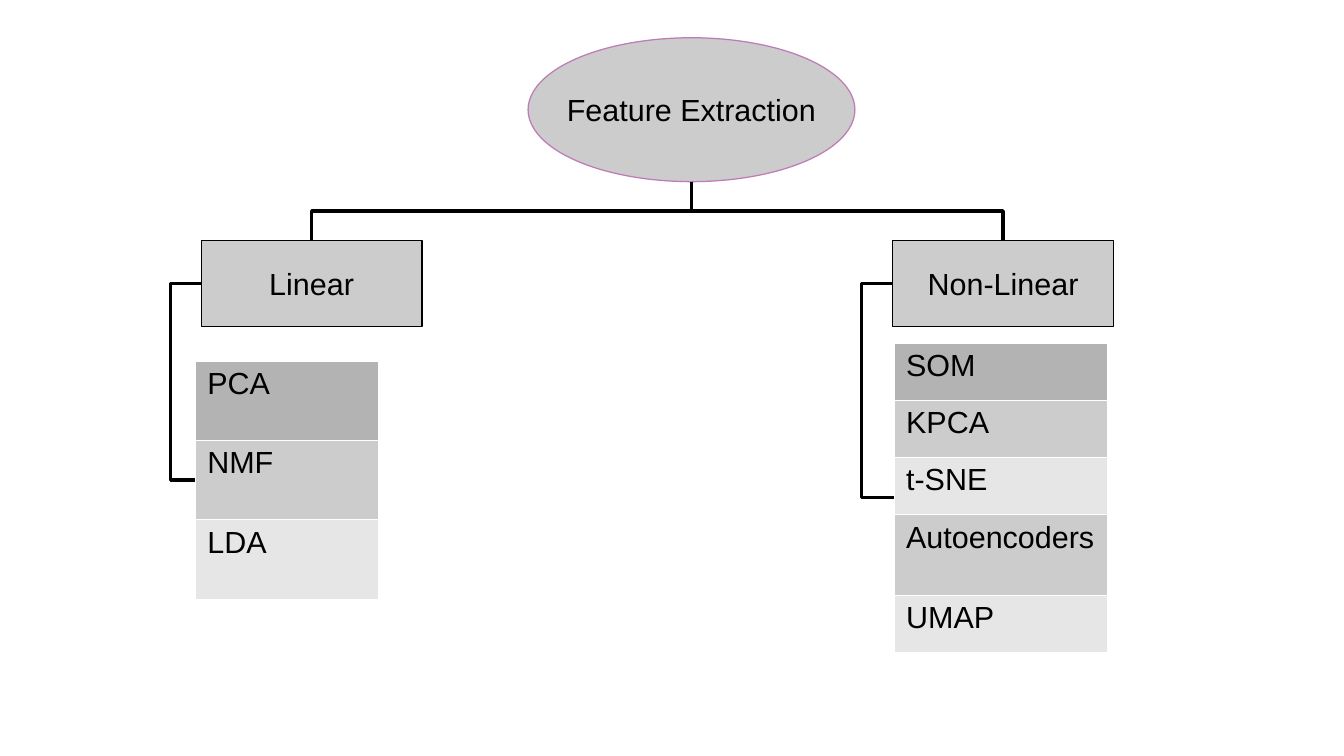
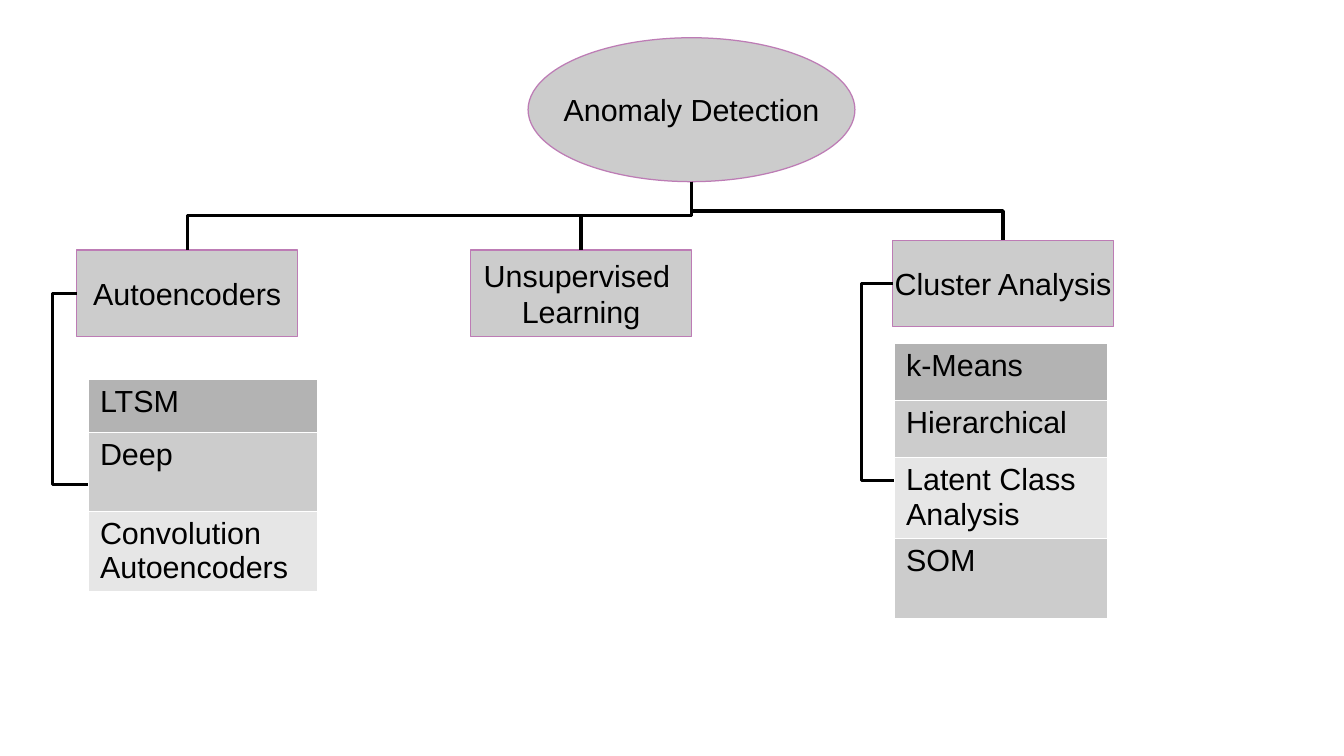
from lxml import etree
from pptx import Presentation
from pptx import util as u
from pptx.dml.color import RGBColor
from pptx.enum import shapes, text
from pptx.oxml.ns import qn

# Shared style
BLACK = RGBColor(0x00, 0x00, 0x00)
WHITE = RGBColor(0xFF, 0xFF, 0xFF)
MAUVE = RGBColor(0xBD, 0x7C, 0xB5)
DARK_GREY = RGBColor(0xB3, 0xB3, 0xB3)
MID_GREY = RGBColor(0xCC, 0xCC, 0xCC)
LIGHT_GREY = RGBColor(0xE6, 0xE6, 0xE6)
FONT_NAME = "Arial"
FONT_SIZE = u.Pt(18)
HAIRLINE = u.Pt(0)

# Shared layout
BOX_WIDTH, BOX_HEIGHT = 1.81, 0.71
RIGHT_BOX = (7.32, 1.97)
RIGHT_TABLE = (7.33, 2.81)
RIGHT_TABLE_WIDTH = 1.75
LEFT, TOP, ELLIPSE_BOTTOM = 1, 0, 4


def add_text(paragraph, content):
    run = paragraph.add_run()
    run.text = content
    run.font.name = FONT_NAME
    run.font.size = FONT_SIZE
    run.font.color.rgb = BLACK


def add_node(slide, kind, position, size, lines, line_color):
    """Add a grey outlined shape with centred text."""
    shape = slide.shapes.add_shape(kind, *map(u.Inches, position + size))
    shape.shadow.inherit = False
    shape.fill.solid()
    shape.fill.fore_color.rgb = MID_GREY
    shape.line.color.rgb = line_color
    shape.line.width = HAIRLINE
    frame = shape.text_frame
    frame.word_wrap = False
    frame.vertical_anchor = text.MSO_ANCHOR.MIDDLE
    for index, content in enumerate(lines):
        paragraph = frame.add_paragraph() if index else frame.paragraphs[0]
        paragraph.alignment = text.PP_ALIGN.CENTER
        add_text(paragraph, content)
    return shape


def add_root(slide, title):
    return add_node(slide, shapes.MSO_SHAPE.OVAL, (4.33, 0.31), (2.68, 1.18),
                    [title], MAUVE)


def add_box(slide, position, lines, line_color):
    return add_node(slide, shapes.MSO_SHAPE.RECTANGLE, position,
                    (BOX_WIDTH, BOX_HEIGHT), lines, line_color)


def set_cell_borders(cell):
    properties = cell._tc.get_or_add_tcPr()
    for index, side in enumerate(("a:lnL", "a:lnR", "a:lnT", "a:lnB")):
        border = etree.Element(qn(side), w="720")
        fill = etree.SubElement(border, qn("a:solidFill"))
        etree.SubElement(fill, qn("a:srgbClr"), val=str(WHITE))
        properties.insert(index, border)


def add_method_table(slide, position, width, rows):
    """Add a one-column table from (label, height) rows."""
    height = sum(row_height for _, row_height in rows)
    frame = slide.shapes.add_table(
        len(rows), 1, *map(u.Inches, position + (width, height)))
    table = frame.table
    table.first_row = table.horz_banding = False
    for index, (label, row_height) in enumerate(rows):
        table.rows[index].height = u.Inches(row_height)
        cell = table.cell(index, 0)
        cell.fill.solid()
        if index == 0:
            cell.fill.fore_color.rgb = DARK_GREY
        else:
            cell.fill.fore_color.rgb = MID_GREY if index % 2 else LIGHT_GREY
        set_cell_borders(cell)
        add_text(cell.text_frame.paragraphs[0], label)
    return frame


def add_elbow(slide, begin, begin_site, end, end_site):
    connector = slide.shapes.add_connector(
        shapes.MSO_CONNECTOR.ELBOW, 0, 0, 0, 0)
    connector.begin_connect(begin, begin_site)
    connector.end_connect(end, end_site)
    connector.line.color.rgb = BLACK
    connector.line.width = HAIRLINE
    etree.SubElement(connector._element.spPr, qn("a:effectLst"))
    return connector


def orient(connector, degrees, flip_h, flip_v, bend):
    """Set rotation, flips and the place of the middle segment."""
    properties = connector._element.spPr
    transform = properties.find(qn("a:xfrm"))
    transform.set("rot", str(degrees * 60000))
    transform.set("flipH", str(int(flip_h)))
    transform.set("flipV", str(int(flip_v)))
    guides = properties.find(qn("a:prstGeom")).find(qn("a:avLst"))
    etree.SubElement(guides, qn("a:gd"), name="adj1",
                     fmla=f"val {round(bend * 100000)}")


def connect_branch(slide, root, box):
    """Link the bottom of the root to the top of a box."""
    connector = add_elbow(slide, root, 2, box, TOP)
    # An ellipse counts eight sites, so its bottom has another index
    connection = connector._element.nvCxnSpPr.cNvCxnSpPr.stCxn
    connection.set("idx", str(ELLIPSE_BOTTOM))
    start_x, start_y = connector.begin_x, connector.begin_y
    end_x, end_y = connector.end_x, connector.end_y
    across, down = abs(end_x - start_x), end_y - start_y
    connector.left = (start_x + end_x - down) // 2
    connector.top = (start_y + end_y - across) // 2
    connector.width, connector.height = down, across
    to_right = end_x > start_x
    orient(connector, 270 if to_right else 90, to_right, False, 0.5)


def connect_table(slide, box, table, reach):
    """Bracket a box to its table, reaching out to the left of the box."""
    connector = add_elbow(slide, box, LEFT, table, LEFT)
    offset = table.left - box.left
    orient(connector, 180, offset > 0, True, -u.Inches(reach) / offset)


def build_feature_extraction(slide):
    root = add_root(slide, "Feature Extraction")
    linear = add_box(slide, (1.65, 1.97), ["Linear"], BLACK)
    non_linear = add_box(slide, RIGHT_BOX, ["Non-Linear"], BLACK)
    for box in (linear, non_linear):
        connect_branch(slide, root, box)

    linear_table = add_method_table(
        slide, (1.6, 2.96), 1.5,
        [("PCA", 0.65), ("NMF", 0.65), ("LDA", 0.65)])
    connect_table(slide, linear, linear_table, 0.25)
    non_linear_table = add_method_table(
        slide, RIGHT_TABLE, RIGHT_TABLE_WIDTH,
        [("SOM", 0.47), ("KPCA", 0.47), ("t-SNE", 0.47),
         ("Autoencoders", 0.66), ("UMAP", 0.47)])
    connect_table(slide, non_linear, non_linear_table, 0.26)


def build_anomaly_detection(slide):
    root = add_root(slide, "Anomaly Detection")
    autoencoders = add_box(slide, (0.63, 2.05), ["Autoencoders"], MAUVE)
    unsupervised = add_box(slide, (3.86, 2.05),
                           ["Unsupervised ", "Learning"], MAUVE)
    clusters = add_box(slide, RIGHT_BOX, ["Cluster Analysis"], MAUVE)
    for box in (autoencoders, unsupervised, clusters):
        connect_branch(slide, root, box)

    autoencoder_table = add_method_table(
        slide, (0.72, 3.11), 1.88,
        [("LTSM", 0.43), ("Deep", 0.65), ("Convolution Autoencoders", 0.65)])
    connect_table(slide, autoencoders, autoencoder_table, 0.2)
    cluster_table = add_method_table(
        slide, RIGHT_TABLE, RIGHT_TABLE_WIDTH,
        [("k-Means", 0.47), ("Hierarchical", 0.47),
         ("Latent Class Analysis", 0.66), ("SOM", 0.66)])
    connect_table(slide, clusters, cluster_table, 0.26)


def main():
    presentation = Presentation()
    presentation.slide_width = u.Inches(11.02)
    presentation.slide_height = u.Inches(6.2)
    blank = presentation.slide_layouts[6]
    for build in (build_feature_extraction, build_anomaly_detection):
        build(presentation.slides.add_slide(blank))
    presentation.save("out.pptx")


if __name__ == "__main__":
    main()
